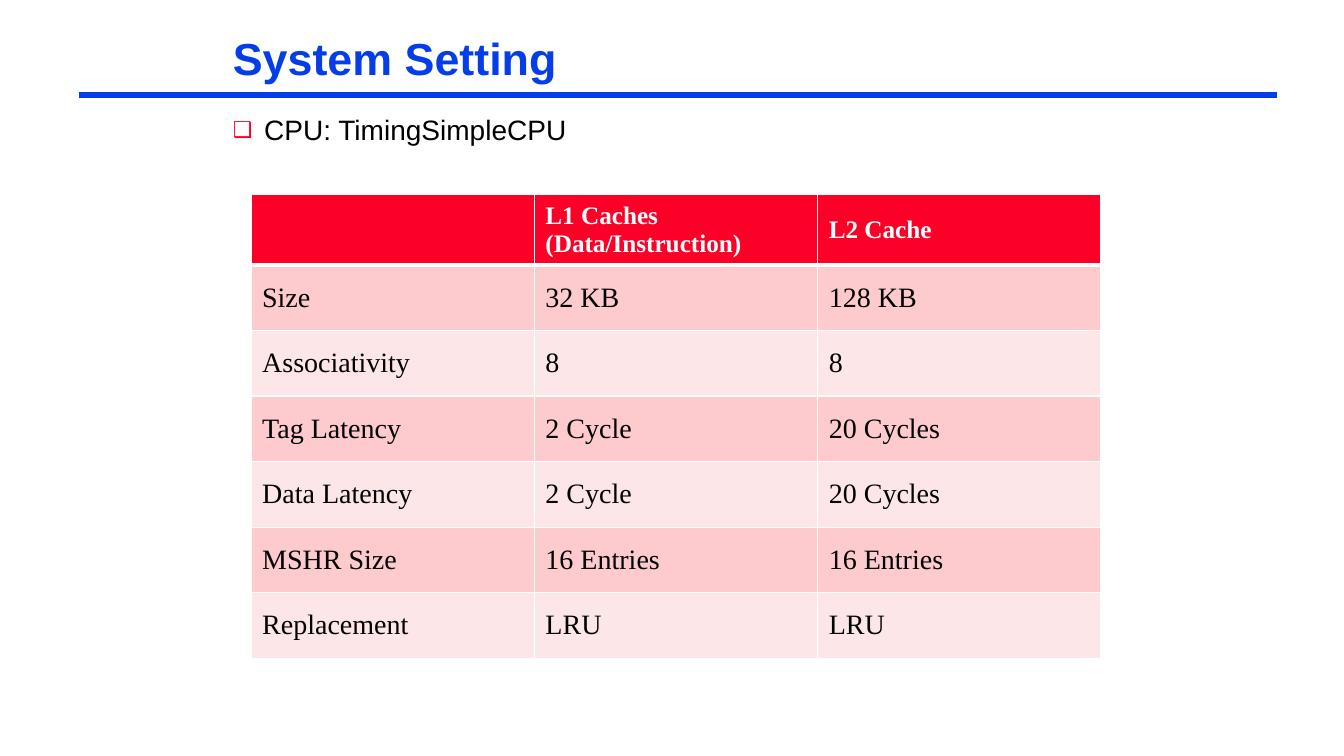
from lxml.etree import SubElement
from pptx import Presentation
from pptx.dml.color import RGBColor
from pptx.enum.shapes import MSO_CONNECTOR
from pptx.enum.text import MSO_ANCHOR, PP_ALIGN
from pptx.oxml.ns import qn
from pptx.util import Inches, Pt

COLORS = {
    "blue": "053DE8",
    "red": "FB0128",
    "dark band": "FDCACD",
    "light band": "FDE6E8",
    "white": "FFFFFF",
    "black": "000000",
}
ROWS = [
    ("", "L1 Caches (Data/Instruction)", "L2 Cache"),
    ("Size", "32 KB", "128 KB"),
    ("Associativity", "8", "8"),
    ("Tag Latency", "2 Cycle", "20 Cycles"),
    ("Data Latency", "2 Cycle", "20 Cycles"),
    ("MSHR Size", "16 Entries", "16 Entries"),
    ("Replacement", "LRU", "LRU"),
]
BORDER_WIDTHS = [1, 3, 1, 1.5, 1, 1, 1, 1]  # horizontal rules, top to bottom


def set_font(paragraph, name, size, color, bold=False):
    font = paragraph.font
    font.name, font.size, font.bold = name, Pt(size), bold
    font.color.rgb = RGBColor.from_string(COLORS[color])


def place_text(shape, left, top, width, height, text):
    """Position a one-line text shape, remove its insets and return its paragraph."""
    shape.left, shape.top = Inches(left), Inches(top)
    shape.width, shape.height = Inches(width), Inches(height)
    frame = shape.text_frame
    frame.margin_left = frame.margin_right = frame.margin_bottom = 0
    frame.margin_top = Inches(0.01)
    frame.vertical_anchor = MSO_ANCHOR.TOP
    frame.word_wrap = True
    frame.text = text
    paragraph = frame.paragraphs[0]
    paragraph.alignment = PP_ALIGN.LEFT
    paragraph.space_before = Pt(1)
    return paragraph


presentation = Presentation()
presentation.slide_width = Inches(13.33)
presentation.slide_height = Inches(7.5)
slide = presentation.slides.add_slide(presentation.slide_layouts[5])

# Title and its rule
title = place_text(slide.shapes.title, 2.31, 0.29, 6, 0.56, "System Setting")
set_font(title, "Arial", 32, "blue", bold=True)

rule = slide.shapes.add_connector(
    MSO_CONNECTOR.STRAIGHT, Inches(0.78), Inches(0.94), Inches(12.67), Inches(0.94))
rule.line.color.rgb = RGBColor.from_string(COLORS["blue"])
rule.line.width = Pt(4.5)
SubElement(rule._element.spPr, qn("a:effectLst"))

# Bulleted CPU line
cpu_box = slide.shapes.add_textbox(0, 0, 0, 0)
cpu = place_text(cpu_box, 2.31, 1.11, 6, 0.36, "CPU: TimingSimpleCPU")
properties = cpu._p.get_or_add_pPr()
properties.set("marL", str(Inches(0.31)))
properties.set("indent", str(Inches(-0.31)))
bullet_color = SubElement(properties, qn("a:buClr"))
SubElement(bullet_color, qn("a:srgbClr"), val=COLORS["red"])
SubElement(properties, qn("a:buSzPct"), val="78000")
SubElement(properties, qn("a:buFont"), typeface="Arial")
SubElement(properties, qn("a:buChar"), char="❑")
set_font(cpu, "Arial", 20, "black")

# Cache settings table
table = slide.shapes.add_table(
    len(ROWS), len(ROWS[0]), Inches(2.49), Inches(1.93), Inches(8.43), Inches(4.6)).table
for column in table.columns:
    column.width = Inches(2.81)

for row_index, texts in enumerate(ROWS):
    is_header = row_index == 0
    table.rows[row_index].height = Inches(0.7 if is_header else 0.65)
    if is_header:
        fill = "red"
    else:
        fill = "dark band" if row_index % 2 else "light band"
    borders = {
        "a:lnL": 1,
        "a:lnR": 1,
        "a:lnT": BORDER_WIDTHS[row_index],
        "a:lnB": BORDER_WIDTHS[row_index + 1],
    }
    for column_index, text in enumerate(texts):
        cell = table.cell(row_index, column_index)
        cell.margin_left = Inches(0.11)
        cell.margin_top = cell.margin_right = cell.margin_bottom = 0
        cell.vertical_anchor = MSO_ANCHOR.MIDDLE
        for tag, width in borders.items():
            border = SubElement(cell._tc.get_or_add_tcPr(), qn(tag), w=str(Pt(width)))
            border_fill = SubElement(border, qn("a:solidFill"))
            SubElement(border_fill, qn("a:srgbClr"), val=COLORS["white"])
        cell.fill.solid()
        cell.fill.fore_color.rgb = RGBColor.from_string(COLORS[fill])
        cell.text = text
        set_font(cell.text_frame.paragraphs[0], "Times New Roman",
                 18 if is_header else 20, "white" if is_header else "black", is_header)

presentation.save("out.pptx")
